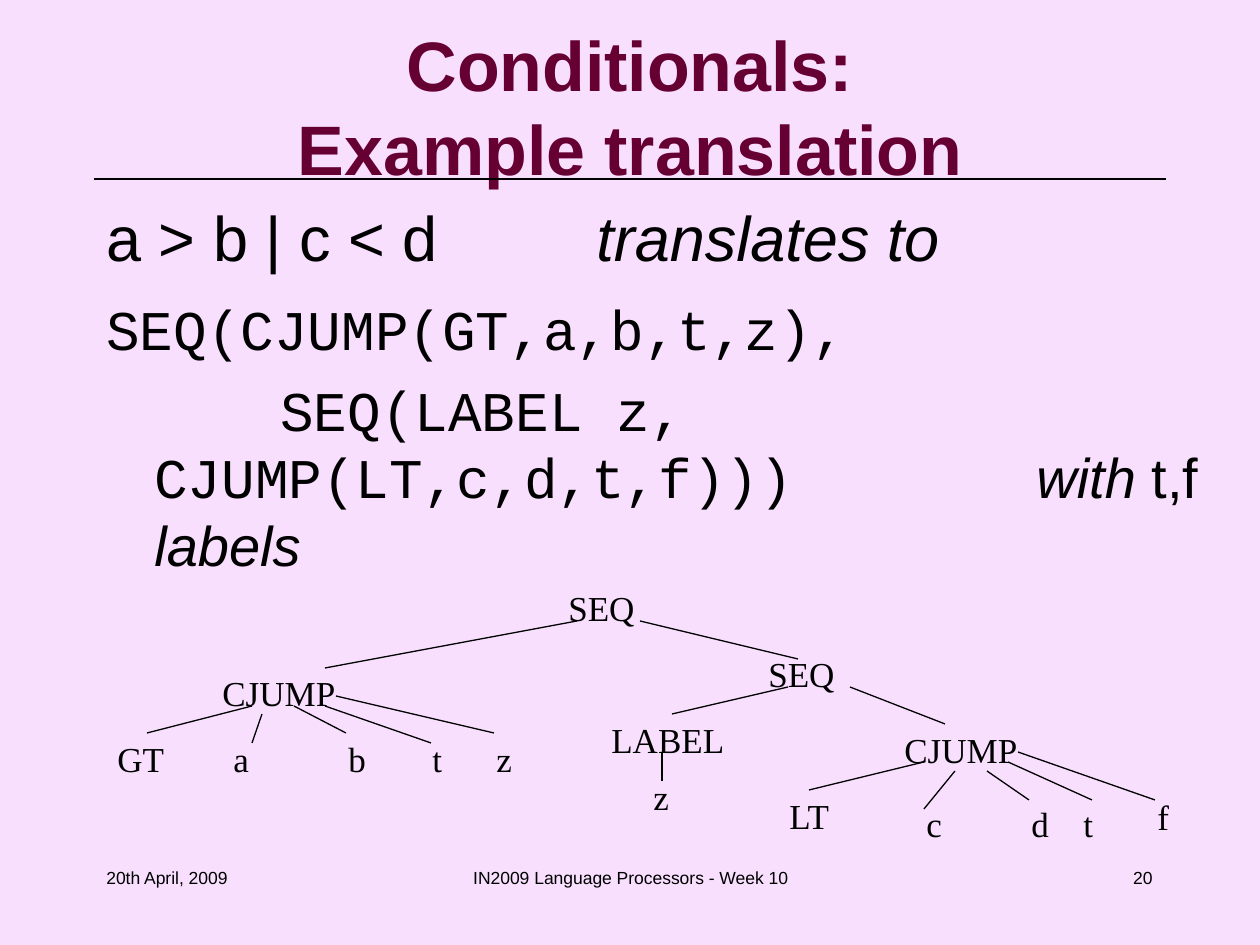
import pptx
import pptx.dml.color
import pptx.enum.shapes
import pptx.enum.text
import pptx.oxml
import pptx.oxml.ns
import pptx.util
from dataclasses import dataclass

ALIGN = pptx.enum.text.PP_ALIGN
ANCHOR = pptx.enum.text.MSO_ANCHOR
AUTO_SIZE = pptx.enum.text.MSO_AUTO_SIZE


@dataclass(frozen=True)
class Theme:
    background: str = "F7DFFD"
    title: str = "660033"
    ink: str = "000000"
    sans: str = "Arial"
    code: str = "Courier New"
    serif: str = "Times New Roman"
    title_size: int = 40
    lead_size: int = 36
    code_size: int = 32
    node_size: int = 20
    footer_size: int = 10
    line_width: float = 0.75


THEME = Theme()
NODE_HEIGHT = 55

# Tree nodes: label, left, top, width
NODES = [
    ("SEQ", 556, 580, 91),
    ("SEQ", 756, 646, 91),
    ("CJUMP", 210, 665, 137),
    ("GT", 105, 731, 72),
    ("a", 221, 731, 40),
    ("b", 336, 731, 42),
    ("t", 420, 731, 34),
    ("z", 484, 731, 40),
    ("LABEL", 599, 712, 137),
    ("CJUMP", 892, 722, 137),
    ("z", 641, 769, 40),
    ("LT", 777, 788, 68),
    ("c", 914, 796, 40),
    ("d", 1019, 796, 43),
    ("t", 1071, 796, 34),
    ("f", 1145, 789, 37),
]

# Tree branches: parent end, child end
BRANCHES = [
    ((577, 621), (325, 668)),
    ((640, 621), (798, 659)),
    ((252, 706), (147, 733)),
    ((262, 714), (252, 743)),
    ((294, 706), (346, 733)),
    ((325, 706), (431, 743)),
    ((336, 696), (494, 733)),
    ((788, 687), (672, 714)),
    ((662, 752), (662, 781)),
    ((850, 687), (945, 724)),
    ((924, 762), (809, 790)),
    ((955, 771), (924, 809)),
    ((987, 771), (1029, 800)),
    ((1008, 762), (1092, 800)),
    ((1018, 752), (1155, 800)),
]

# Footer: text, left, width, alignment
FOOTERS = [
    ("20th April, 2009", 94, 262, ALIGN.LEFT),
    ("IN2009 Language Processors - Week 10", 431, 399, ALIGN.CENTER),
    ("20", 903, 262, ALIGN.RIGHT),
]


def px(length):
    return pptx.util.Emu(round(length * 914400 / 126))


def set_font(font, name, size, color=THEME.ink, bold=None):
    font.name = name
    font.size = pptx.util.Pt(size)
    font.color.rgb = pptx.dml.color.RGBColor.from_string(color)
    font.bold = bold


def add_line(shapes, start, end):
    line = shapes.add_connector(
        pptx.enum.shapes.MSO_CONNECTOR.STRAIGHT, *map(px, start + end))
    line.line.color.rgb = pptx.dml.color.RGBColor.from_string(THEME.ink)
    line.line.width = pptx.util.Pt(THEME.line_width)
    line._element.spPr.append(pptx.oxml.parse_xml(
        f'<a:effectLst {pptx.oxml.ns.nsdecls("a")}/>'))


def add_label(shapes, text, place, font_name, size, align=ALIGN.LEFT):
    box = shapes.add_textbox(*map(px, place))
    box.text_frame.word_wrap = True
    para = box.text_frame.paragraphs[0]
    para.text = text
    para.alignment = align
    set_font(para.font, font_name, size)
    return box


def set_hanging_tabs(para, tab_step):
    """Hang the first line and repeat tab stops at an equal step from the indent."""
    properties = para._p.get_or_add_pPr()
    properties.set("marL", str(px(48)))
    properties.set("indent", str(-px(48)))
    properties.set("defTabSz", str(px(tab_step)))


def add_spans(para, spans):
    for text, font_name, italic in spans:
        span = para.add_run()
        span.text = text
        span.font.name = font_name
        span.font.italic = italic


def add_title(page):
    title = page.shapes.title
    title.left, title.top, title.width, title.height = map(px, (63, 42, 1134, 126))
    frame = title.text_frame
    frame.auto_size = AUTO_SIZE.NONE
    frame.vertical_anchor = ANCHOR.MIDDLE
    para = frame.paragraphs[0]
    para.text = "Conditionals:\vExample translation"
    para.alignment = ALIGN.CENTER
    set_font(para.font, THEME.sans, THEME.title_size, THEME.title, True)


def add_body(page):
    box = page.shapes.add_textbox(*map(px, (94, 192, 1134, 627)))
    frame = box.text_frame
    frame.word_wrap = True

    # Source expression
    lead = frame.paragraphs[0]
    set_hanging_tabs(lead, 442)
    set_font(lead.font, THEME.sans, THEME.lead_size)
    add_spans(lead, [("a > b | c < d\t", THEME.sans, None),
                     ("translates to", THEME.sans, True)])

    # Translated code
    first = frame.add_paragraph()
    set_hanging_tabs(first, 126)
    first.line_spacing = 1.1
    first.text = "SEQ(CJUMP(GT,a,b,t,z),"

    second = frame.add_paragraph()
    set_hanging_tabs(second, 126)
    add_spans(second, [("\t\tSEQ(LABEL z,", THEME.code, None)])
    second.add_line_break()
    add_spans(second, [("CJUMP(LT,c,d,t,f)))\t\t", THEME.code, None),
                       ("with ", THEME.sans, True),
                       ("t,f", THEME.sans, None),
                       (" labels", THEME.sans, True)])

    for para in (first, second):
        para.space_before = pptx.util.Pt(8)
        set_font(para.font, THEME.code, THEME.code_size)


def add_tree(page):
    tree = page.shapes.add_group_shape()
    for label, left, top, width in NODES:
        box = add_label(tree.shapes, label, (left, top, width, NODE_HEIGHT),
                        THEME.serif, THEME.node_size)
        # Room for the whole label on one line
        box.text_frame.margin_right = 0
    for start, end in BRANCHES:
        add_line(tree.shapes, start, end)


def main():
    deck = pptx.Presentation()
    deck.slide_width, deck.slide_height = px(1260), px(945)
    page = deck.slides.add_slide(deck.slide_layouts[5])
    fill = page.background.fill
    fill.solid()
    fill.fore_color.rgb = pptx.dml.color.RGBColor.from_string(THEME.background)

    add_line(page.shapes, (94, 179), (1166, 179))
    add_title(page)
    add_body(page)
    add_tree(page)
    for text, left, width, align in FOOTERS:
        add_label(page.shapes, text, (left, 861, width, 63),
                  THEME.sans, THEME.footer_size, align)
    deck.save("out.pptx")


if __name__ == "__main__":
    main()
